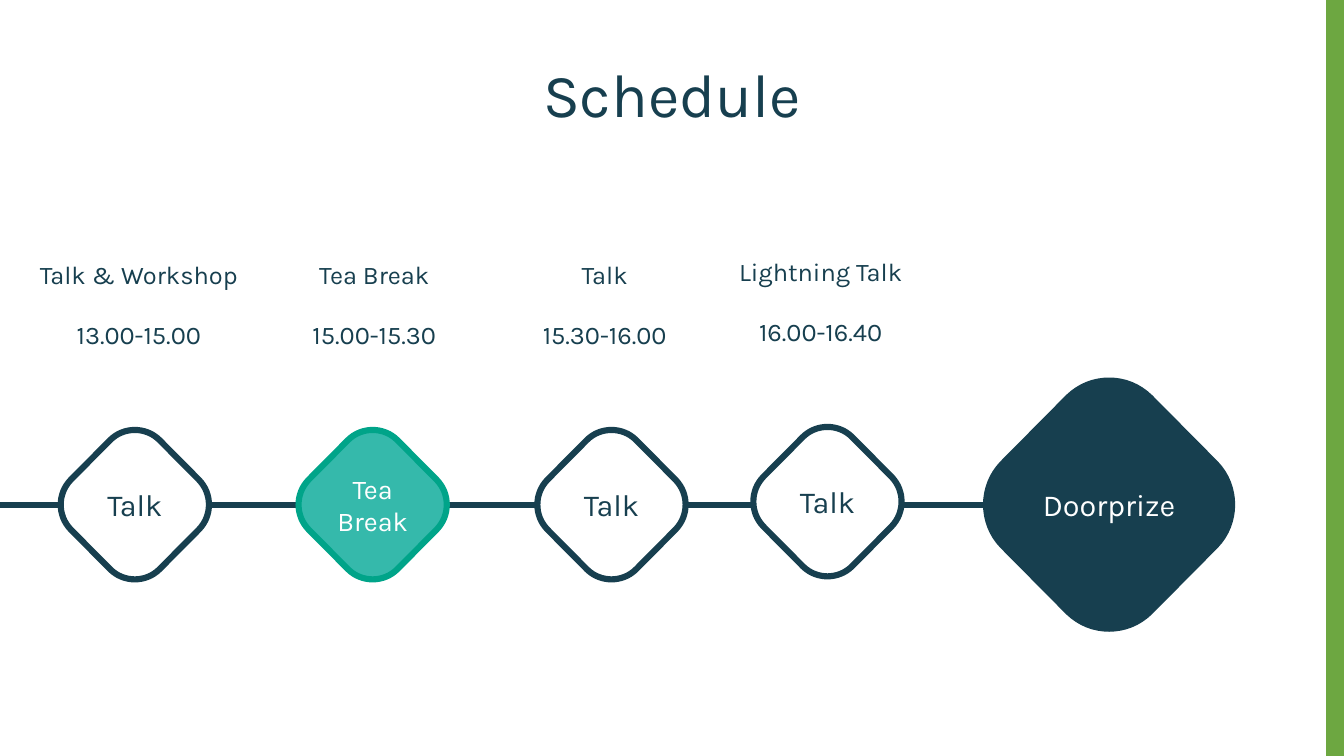
import pptx
import pptx.util
import pptx.dml.color
import pptx.enum.shapes
import pptx.enum.text
import lxml.etree

Pt = pptx.util.Pt
RGB = pptx.dml.color.RGBColor.from_string
COLORS = {"navy": "173F4F", "teal": "35B9AB", "dark teal": "00A489",
          "white": "FFFFFF", "green": "6DA741"}

deck = pptx.Presentation()
deck.slide_width, deck.slide_height = Pt(793.44), Pt(446.4)
page = deck.slides.add_slide(deck.slide_layouts[6])


def write(box, lines, size, color, gap=0):
    frame = box.text_frame
    frame.word_wrap = True
    frame.vertical_anchor = pptx.enum.text.MSO_ANCHOR.MIDDLE
    for index, line in enumerate(lines):
        para = frame.add_paragraph() if index else frame.paragraphs[0]
        para.alignment = pptx.enum.text.PP_ALIGN.CENTER
        if index:
            para.space_before = Pt(gap)
        span = para.add_run()
        span.text = line
        span.font.name = "Karla"
        span.font.size = Pt(size)
        span.font.color.rgb = RGB(COLORS[color])


def add_label(left, top, width, height, lines, size, gap=0):
    box = page.shapes.add_textbox(Pt(left), Pt(top), Pt(width), Pt(height))
    frame = box.text_frame
    frame.margin_left = frame.margin_right = frame.margin_top = frame.margin_bottom = 0
    write(box, lines, size, "navy", gap)


rules = [
    (0, 298, 655, 298, 3.6, "navy"),
    (789.8, 0, 789.8, 446.4, 14.4, "green"),
]
for x1, y1, x2, y2, weight, color in rules:
    rule = page.shapes.add_connector(
        pptx.enum.shapes.MSO_CONNECTOR.STRAIGHT, Pt(x1), Pt(y1), Pt(x2), Pt(y2))
    rule.line.width = Pt(weight)
    rule.line.color.rgb = RGB(COLORS[color])
    lxml.etree.SubElement(rule._element.spPr, pptx.oxml.ns.qn("a:effectLst"))

corners = [
    [(-14.5, -38.2), (-6.5, -46.1), (6.5, -46.1), (14.5, -38.2)],
    [(37.9, -14.6), (45.7, -6.5), (45.7, 6.5), (37.9, 14.6)],
]
steps = 16
half = []
for corner in corners:
    for step in range(steps + 1):
        t = step / steps
        weights = [(1 - t) ** 3, 3 * t * (1 - t) ** 2, 3 * t ** 2 * (1 - t), t ** 3]
        half.append(tuple(sum(w * point[axis] for w, point in zip(weights, corner))
                          for axis in (0, 1)))
diamond = half + [(-x, -y) for x, y in half]

stops = [
    (79.6, 298, 1, ["Talk"], 18, "white", "navy", "navy"),
    (220, 298, 1, ["Tea", "Break"], 16, "teal", "dark teal", "white"),
    (361, 298, 1, ["Talk"], 18, "white", "navy", "navy"),
    (488.5, 296.2, 1, ["Talk"], 18, "white", "navy", "navy"),
    (654.8, 298, 1.66, ["Doorprize"], 18, "navy", "navy", "white"),
]
for center_x, center_y, scale, lines, size, fill, outline, color in stops:
    points = [(Pt(center_x + scale * x), Pt(center_y + scale * y)) for x, y in diamond]
    builder = page.shapes.build_freeform(*points[0])
    builder.add_line_segments(points[1:], close=True)
    stop = builder.convert_to_shape()
    stop.shadow.inherit = False
    stop.fill.solid()
    stop.fill.fore_color.rgb = RGB(COLORS[fill])
    stop.line.width = Pt(3.63)
    stop.line.color.rgb = RGB(COLORS[outline])
    write(stop, lines, size, color)

add_label(39.6, 18, 714.2, 74.2, ["Schedule"], 36)

captions = [
    (82, 121.7, "Talk & Workshop", "13.00-15.00"),
    (221, 121.7, "Tea Break", "15.00-15.30"),
    (357, 121.7, "Talk", "15.30-16.00"),
    (484.5, 119.9, "Lightning Talk", "16.00-16.40"),
]
for center_x, top, topic, hours in captions:
    add_label(center_x - 72, top, 144, 116, [topic, hours], 15, gap=17.5)

deck.save("out.pptx")
